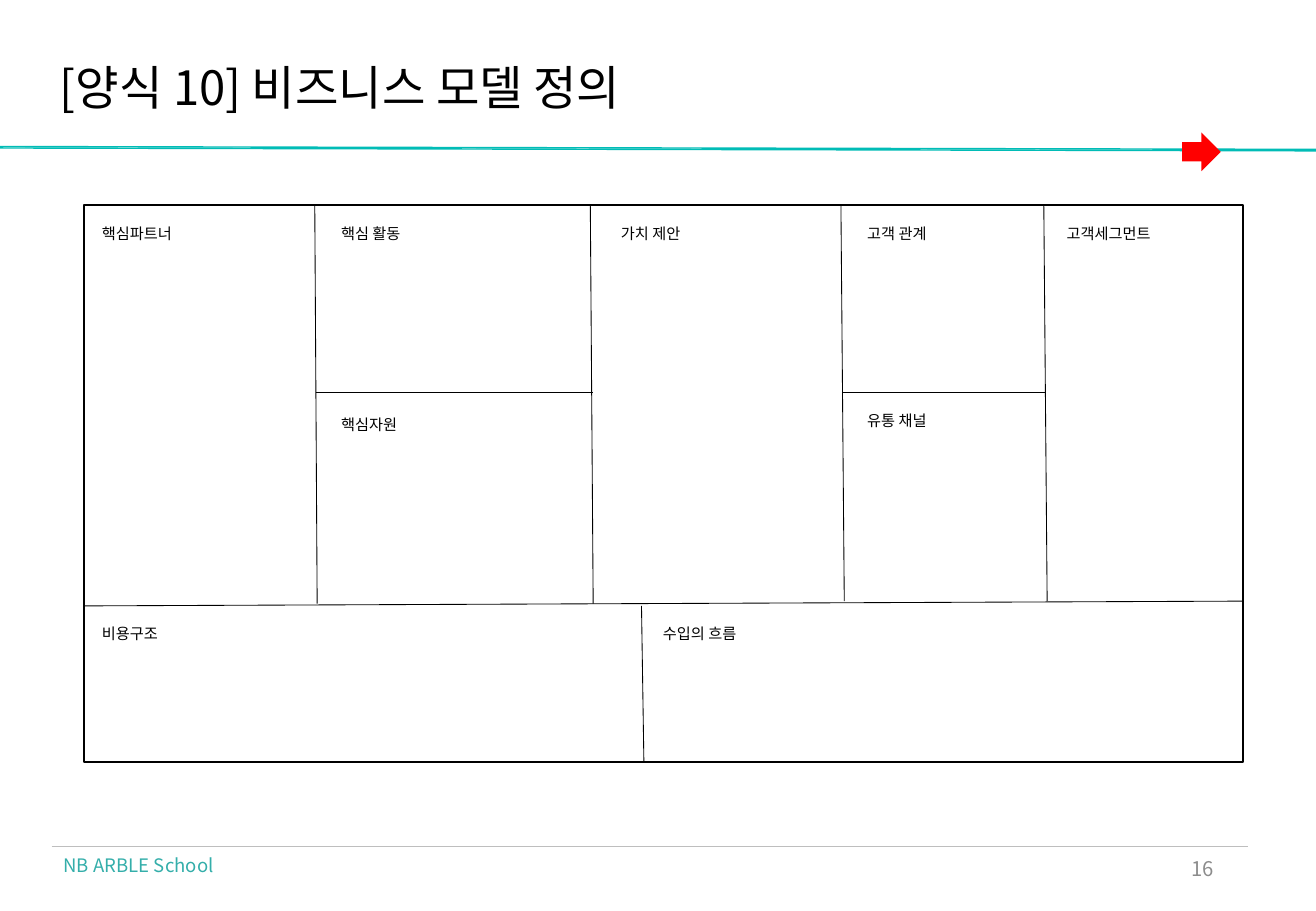
from lxml.etree import SubElement
from pptx import Presentation
from pptx.dml.color import RGBColor
from pptx.enum.shapes import MSO_CONNECTOR as CONN, MSO_SHAPE as SHAPE
from pptx.enum.text import MSO_ANCHOR as ANCHOR, PP_ALIGN as ALIGN
from pptx.oxml.ns import qn
from pptx.util import Cm, Pt

FONT = "Noto Sans CJK KR"

prs = Presentation()
prs.slide_width, prs.slide_height = Cm(27.51), Cm(19.05)
s = prs.slides.add_slide(prs.slide_layouts[6])


def color(value):
    return RGBColor.from_string(value)


def add_text(text, x, y, w, h, size, ink="000000", wrap=True, **frame):
    tf = s.shapes.add_textbox(Cm(x), Cm(y), Cm(w), Cm(h)).text_frame
    tf.word_wrap = wrap
    for name, value in frame.items():
        setattr(tf, name, value)
    p = tf.paragraphs[0]
    r = p.add_run()
    r.text = text
    for name, value in {"name": FONT, "size": Pt(size)}.items():
        setattr(r.font, name, value)
    r.font.color.rgb = color(ink)
    SubElement(r.font._element, qn("a:ea")).set("typeface", FONT)
    return p


# Double teal rule under the title
for top in (3.05, 3.08):
    fb = s.shapes.build_freeform(Cm(0), Cm(top), scale=1.0)
    fb.add_line_segments([(Cm(0), Cm(top + 0.03)), (Cm(27.51), Cm(top + 0.09)),
                          (Cm(27.51), Cm(top + 0.06))], close=True)
    sp = fb.convert_to_shape()
    sp.shadow.inherit = False
    sp.fill.solid()
    sp.fill.fore_color.rgb = color("01BCB6")
    sp.line.fill.background()

# Title and footer
p = add_text("[양식 10] 비즈니스 모델 정의", 1.25, 1.35, 24.84, 1.07, 28,
             margin_left=0, margin_right=0, margin_top=0, margin_bottom=0,
             vertical_anchor=ANCHOR.MIDDLE)
p.line_spacing = 0.9
add_text("NB ARBLE School", 1.08, 17.73, 4.2, 0.74, 11, "34AEAA")
p = add_text("16", 19.43, 17.65, 6.2, 1.02, 12, "8C8C8C", vertical_anchor=ANCHOR.MIDDLE)
p.alignment = ALIGN.RIGHT

# Canvas dividers and footer rule: x1, y1, x2, y2, colour
TOP, MIDDLE, BOTTOM = 4.29, 8.2, 15.93
lines = [
    (1.75, 12.67, 25.98, 12.57, "000000"),
    (21.82, TOP, 21.89, 12.57, "000000"),
    (17.58, TOP, 17.65, 12.57, "000000"),
    (12.34, TOP, 12.4, 12.62, "000000"),
    (6.58, TOP, 6.63, 12.62, "000000"),
    (17.6, MIDDLE, 21.87, MIDDLE, "000000"),
    (6.6, MIDDLE, 12.4, MIDDLE, "000000"),
    (13.41, 12.67, 13.46, BOTTOM, "000000"),
    (1.08, 17.7, 26.09, 17.7, "BEBEBE"),
]
for x1, y1, x2, y2, ink in lines:
    cn = s.shapes.add_connector(CONN.STRAIGHT, Cm(x1), Cm(y1), Cm(x2), Cm(y2))
    cn.line.color.rgb = color(ink)
    cn.line.width = Pt(0.5)
    SubElement(cn._element.spPr, qn("a:effectLst"))

# Canvas headings: text, x, y, width
headings = [
    ("핵심파트너", 1.88, 4.57, 1.98),
    ("핵심 활동", 6.88, 4.57, 1.78),
    ("핵심자원", 6.88, 8.56, 1.68),
    ("가치 제안", 12.73, 4.57, 1.78),
    ("고객 관계", 17.88, 4.57, 1.78),
    ("유통 채널", 17.88, 8.48, 1.78),
    ("고객세그먼트", 22.05, 4.57, 2.29),
    ("비용구조", 1.88, 12.93, 1.68),
    ("수입의 흐름", 13.61, 12.93, 2.06),
]
for text, x, y, w in headings:
    add_text(text, x, y, w, 0.64, 9, wrap=False)

# Canvas frame
sp = s.shapes.add_shape(SHAPE.RECTANGLE, Cm(1.75), Cm(TOP), Cm(24.23), Cm(BOTTOM - TOP))
sp.shadow.inherit = False
sp.fill.background()
sp.line.color.rgb = color("000000")
sp.line.width = Pt(1)

# Red arrow on the rule
sp = s.shapes.add_shape(SHAPE.RIGHT_ARROW, Cm(24.71), Cm(2.77), Cm(0.81), Cm(0.81))
sp.shadow.inherit = False
sp.fill.solid()
sp.fill.fore_color.rgb = color("FF0000")
sp.line.fill.background()

prs.save("out.pptx")
